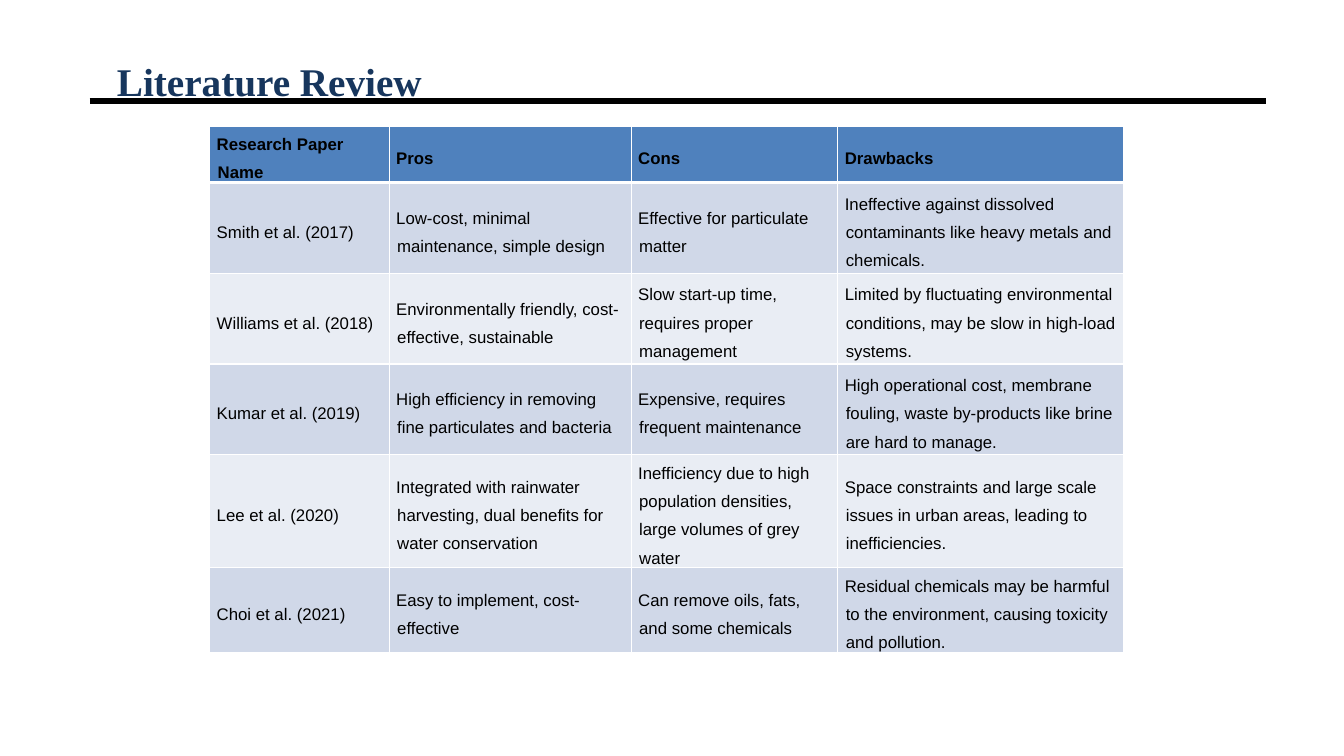
"""Build the literature review slide: a title, a rule and a table of papers."""
from lxml import etree
from pptx import Presentation
from pptx.dml.color import RGBColor
from pptx.enum.shapes import MSO_CONNECTOR
from pptx.enum.text import MSO_ANCHOR, MSO_AUTO_SIZE, PP_ALIGN
from pptx.oxml.ns import qn
from pptx.util import Inches, Pt

LINE = MSO_CONNECTOR.STRAIGHT
MIDDLE = MSO_ANCHOR.MIDDLE
FIXED = MSO_AUTO_SIZE.NONE
JUSTIFY = PP_ALIGN.JUSTIFY
COLORS = {"navy": "17365D", "black": "000000", "white": "FFFFFF",
          "head": "4F81BD", "odd": "D0D8E8", "even": "E9EDF4"}
LEFT, WIDE, RULE = 0.89, 11.67, 1
COLS = [1.78, 2.4, 2.05, 2.83]
ROWS = [0.49, 0.9, 0.9, 0.9, 1.01, 0.75]
PAPERS = [
    ["Research Paper Name", "Pros", "Cons", "Drawbacks"],
    ["Smith et al. (2017)", "Low-cost, minimal maintenance, simple design",
     "Effective for particulate matter",
     "Ineffective against dissolved contaminants like heavy metals and chemicals."],
    ["Williams et al. (2018)", "Environmentally friendly, cost-effective, sustainable",
     "Slow start-up time, requires proper management",
     "Limited by fluctuating environmental conditions, may be slow in high-load systems."],
    ["Kumar et al. (2019)", "High efficiency in removing fine particulates and bacteria",
     "Expensive, requires frequent maintenance",
     "High operational cost, membrane fouling, waste by-products like brine are hard to manage."],
    ["Lee et al. (2020)",
     "Integrated with rainwater harvesting, dual benefits for water conservation",
     "Inefficiency due to high population densities, large volumes of grey water",
     "Space constraints and large scale issues in urban areas, leading to inefficiencies."],
    ["Choi et al. (2021)", "Easy to implement, cost-effective",
     "Can remove oils, fats, and some chemicals",
     "Residual chemicals may be harmful to the environment, causing toxicity and pollution."],
]


def style(para, color, indent, hang, font, form):
    """Format a paragraph and its font."""
    for key, value in form.items():
        setattr(para, key, value)
    for key, value in font.items():
        setattr(para.runs[0].font, key, value)
    para.runs[0].font.color.rgb = RGBColor.from_string(COLORS[color])
    props = para._p.get_or_add_pPr()
    props.set("marL", str(Inches(indent)))
    props.set("indent", str(Inches(hang)))


def border(cell, side, width):
    """Draw a white border on one side of a cell."""
    edge = etree.SubElement(cell._tc.get_or_add_tcPr(), qn(f"a:ln{side}"), w=str(Pt(width)))
    fill = etree.SubElement(edge, qn("a:solidFill"))
    etree.SubElement(fill, qn("a:srgbClr"), val=COLORS["white"])


deck = Presentation()
deck.slide_width, deck.slide_height = Inches(13.33), Inches(7.5)
slide = deck.slides.add_slide(deck.slide_layouts[5])

title = slide.shapes.title
title.left, title.top = Inches(LEFT), Inches(0.3)
title.width, title.height = Inches(WIDE), Inches(0.53)
frame = title.text_frame
frame.text = "Literature Review"
frame.auto_size, frame.vertical_anchor = FIXED, MIDDLE
style(frame.paragraphs[0], "navy", 0.17, 0,
      {"name": "Times New Roman", "size": Pt(28), "bold": True},
      {"alignment": JUSTIFY, "line_spacing": 2.0})

rule = slide.shapes.add_connector(LINE, Inches(LEFT), Inches(RULE),
                                  Inches(LEFT + WIDE), Inches(RULE))
rule.line.width = Pt(4.5)
rule.line.color.rgb = RGBColor.from_string(COLORS["black"])
etree.SubElement(rule._element.spPr, qn("a:effectLst"))
slide.shapes._spTree.insert(2, rule._element)

grid = slide.shapes.add_table(len(ROWS), len(COLS), Inches(2.08), Inches(1.25),
                              Inches(sum(COLS)), Inches(5.29))
table = grid.table
for col, width in zip(table.columns, COLS):
    col.width = Inches(width)
for row, height in zip(table.rows, ROWS):
    row.height = Inches(height)
grid.height = Inches(5.29)

for r, paper in enumerate(PAPERS):
    band = "head" if r == 0 else "odd" if r % 2 else "even"
    for c, text in enumerate(paper):
        cell = table.cell(r, c)
        cell.text = text
        cell.vertical_anchor = MIDDLE
        cell.margin_left = cell.margin_right = Inches(0.07)
        cell.margin_top = cell.margin_bottom = 0
        for side in "LRTB":
            thick = (r == 0 and side == "B") or (r == 1 and side == "T")
            border(cell, side, 3 if thick else 1)
        cell.fill.solid()
        cell.fill.fore_color.rgb = RGBColor.from_string(COLORS[band])
        style(cell.text_frame.paragraphs[0], "black", 0.01, -0.01,
              {"name": "Arial", "size": Pt(12), "bold": r == 0},
              {"line_spacing": 1.5, "space_after": Pt(3.9)})

deck.save("out.pptx")
